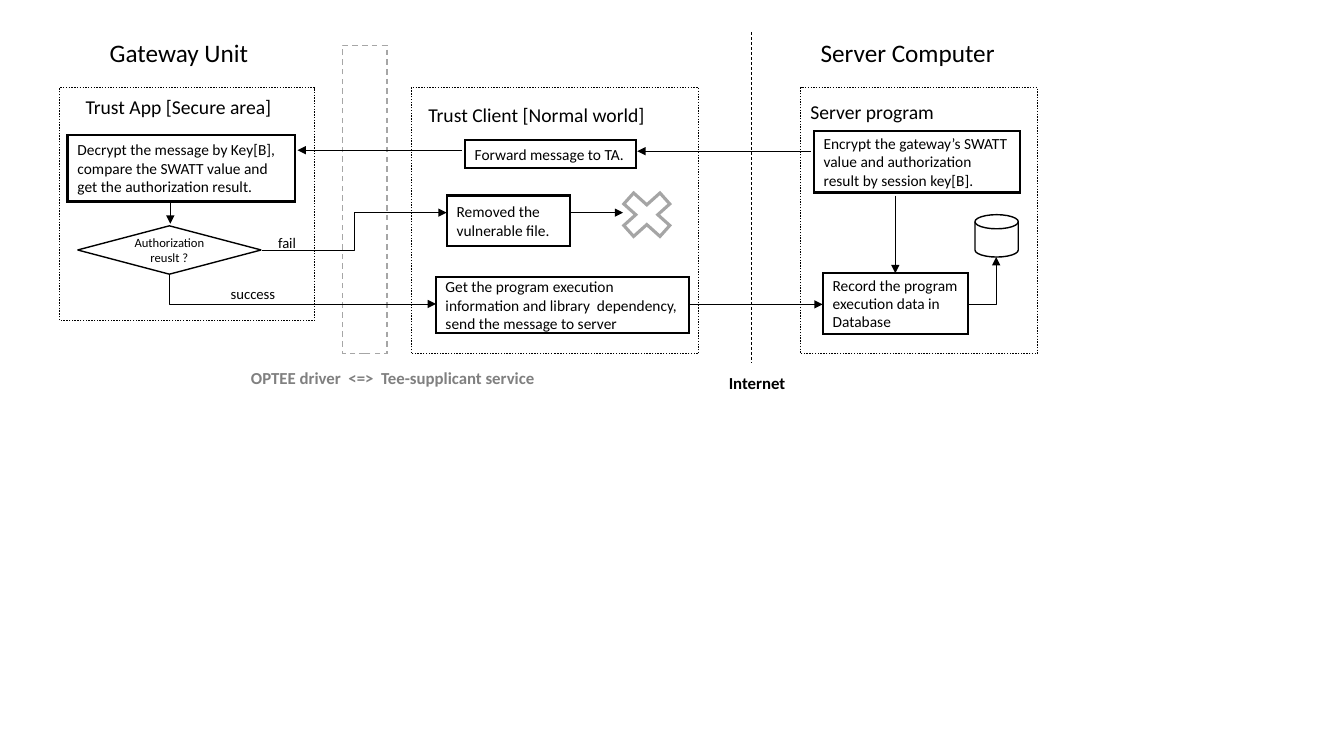
from lxml import etree
from pptx import Presentation
from pptx.dml.color import RGBColor
from pptx.enum.dml import MSO_LINE
from pptx.enum.shapes import MSO_CONNECTOR, MSO_SHAPE
from pptx.enum.text import MSO_ANCHOR, MSO_AUTO_SIZE, PP_ALIGN
from pptx.oxml.ns import qn
from pptx.util import Inches, Pt

RECT, DIAMOND = MSO_SHAPE.RECTANGLE, MSO_SHAPE.DIAMOND
DISK, CROSS = MSO_SHAPE.FLOWCHART_MAGNETIC_DISK, MSO_SHAPE.MATH_MULTIPLY
STRAIGHT, ELBOW = MSO_CONNECTOR.STRAIGHT, MSO_CONNECTOR.ELBOW
DASH, DOTS = MSO_LINE.DASH, MSO_LINE.ROUND_DOT
LEFT, CENTER = PP_ALIGN.LEFT, PP_ALIGN.CENTER
COLORS = {
    "ink": "000000",
    "paper": "FFFFFF",
    "driver": "A6A6A6",
    "removed": "A5A5A5",
    "caption": "808080",
}

prs = Presentation()
prs.slide_width, prs.slide_height = Inches(13.33), Inches(7.5)
slide = prs.slides.add_slide(prs.slide_layouts[6])
shapes = slide.shapes


def write(text, place=None, shape=None, size=11, color="ink", bold=False, align=LEFT):
    """Write into the given shape, or into a new text box at place."""
    if shape is None:
        shape = shapes.add_textbox(*map(Inches, place))
        shape.text_frame.auto_size = MSO_AUTO_SIZE.SHAPE_TO_FIT_TEXT
    else:
        shape.text_frame.vertical_anchor = MSO_ANCHOR.MIDDLE
    shape.text_frame.word_wrap = True
    paragraph = shape.text_frame.paragraphs[0]
    paragraph.text = text
    paragraph.alignment = align
    for run in paragraph.runs:
        run.font.name = "Calibri"
        run.font.size = Pt(size)
        run.font.bold = bold
        run.font.color.rgb = RGBColor.from_string(COLORS[color])


def outline(kind, place, width=1, color="ink", dash=None, filled=True):
    """Add a shape with sharp corners and a white or an empty inside."""
    shape = shapes.add_shape(kind, *map(Inches, place))
    shape.shadow.inherit = False
    if filled:
        shape.fill.solid()
        shape.fill.fore_color.rgb = RGBColor.from_string(COLORS["paper"])
    else:
        shape.fill.background()
    shape.line.color.rgb = RGBColor.from_string(COLORS[color])
    shape.line.width = Pt(width)
    if dash:
        shape.line.dash_style = dash
    etree.SubElement(shape._element.spPr.find(qn("a:ln")), qn("a:miter"), lim="800000")
    return shape


# Zones
outline(RECT, (3.4, 0.45, 0.44, 3.06), color="driver", dash=DASH)
for zone in [(0.59, 0.87, 2.53, 2.31), (4.08, 0.87, 2.85, 2.64), (7.94, 0.87, 2.35, 2.64)]:
    outline(RECT, zone, dash=DOTS)

# Headings and captions
for heading, place, size in [
    ("Gateway Unit", (0.99, 0.32, 1.74, 0.4), 18),
    ("Server Computer", (8.04, 0.32, 2.05, 0.4), 18),
    ("Trust App [Secure area]", (0.75, 0.89, 2.1, 0.34), 14),
    ("Trust Client [Normal world]", (4.15, 0.97, 2.36, 0.34), 14),
    ("Server program", (7.94, 0.94, 2.36, 0.34), 14),
]:
    write(heading, place, size=size)
write("Internet", (7.13, 3.65, 0.8, 0.3), size=12, bold=True)
write("OPTEE driver  <=>  Tee-supplicant service", (2.39, 3.6, 3.52, 0.3),
      size=12, color="caption", bold=True)

# Steps
for step, place in [
    ("Encrypt the gateway’s SWATT value and authorization result by session key[B].",
     (8.07, 1.3, 2.05, 0.61)),
    ("Forward message to TA.", (4.61, 1.39, 1.7, 0.28)),
    ("Decrypt the message by Key[B], compare the SWATT value and get the authorization result.",
     (0.67, 1.34, 2.26, 0.66)),
    ("Removed the vulnerable file.", (4.43, 1.94, 1.22, 0.5)),
    ("Get the program execution information and library  dependency, send the message to server",
     (4.32, 2.75, 2.51, 0.55)),
    ("Record the program execution data in Database", (8.16, 2.71, 1.44, 0.6)),
]:
    write(step, shape=outline(RECT, place, width=1.5))
decision = outline(DIAMOND, (0.77, 2.24, 1.82, 0.48))
write("Authorization\nreuslt ?", shape=decision, size=9, align=CENTER)
outline(CROSS, (6.07, 1.82, 0.69, 0.62), width=2.25, color="removed", filled=False)
outline(DISK, (9.67, 2.13, 0.43, 0.42))

# Flow: kind, ends, preset geometry, rotation in degrees
for kind, ends, preset, turn in [
    (STRAIGHT, (7.45, 0.32, 7.45, 3.6), "line", 0),
    (STRAIGHT, (8.04, 1.5, 6.32, 1.5), "straightConnector1", 0),
    (STRAIGHT, (4.58, 1.49, 2.95, 1.49), "straightConnector1", 0),
    (STRAIGHT, (1.69, 2, 1.69, 2.22), "straightConnector1", 0),
    (STRAIGHT, (5.65, 2.11, 6.18, 2.11), "straightConnector1", 0),
    (STRAIGHT, (6.83, 3.02, 8.16, 3.02), "straightConnector1", 0),
    (STRAIGHT, (8.88, 1.94, 8.88, 2.71), "straightConnector1", 0),
    (ELBOW, (2.6, 2.48, 4.43, 2.11), "bentConnector3", 0),
    (ELBOW, (3.15, 1.55, 2.86, 4.19), "bentConnector2", 270),
    (ELBOW, (9.6, 3.02, 9.88, 2.55), "bentConnector2", 0),
]:
    link = shapes.add_connector(kind, *map(Inches, ends))
    link.line.color.rgb = RGBColor.from_string(COLORS["ink"])
    link.line.width = Pt(0.5)
    properties = link._element.spPr
    properties.find(qn("a:prstGeom")).set("prst", preset)
    if turn:
        properties.find(qn("a:xfrm")).set("rot", str(turn * 60000))
    if preset == "line":
        link.line.dash_style = DASH
    else:
        etree.SubElement(properties.find(qn("a:ln")), qn("a:tailEnd"), type="triangle")
    etree.SubElement(properties, qn("a:effectLst"))

# Branch labels
write("fail", (2.66, 2.27, 0.41, 0.28), size=10.5)
write("success", (2.19, 2.78, 0.75, 0.28), size=10.5)

prs.save("out.pptx")
